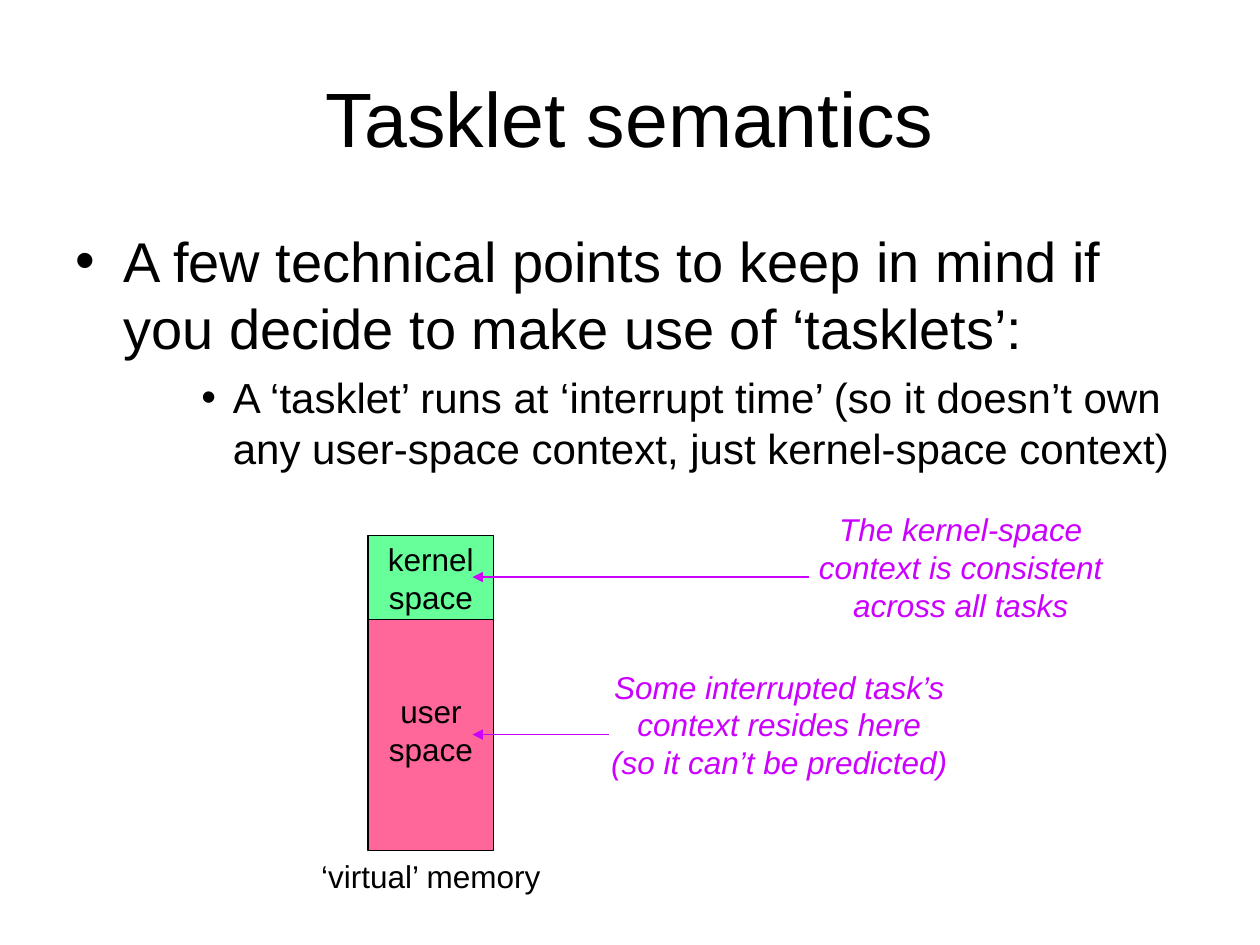
from lxml.etree import SubElement
from pptx import Presentation
from pptx.dml.color import RGBColor
from pptx.enum.shapes import MSO_CONNECTOR, MSO_SHAPE
from pptx.enum.text import MSO_ANCHOR, PP_ALIGN
from pptx.oxml.ns import qn
from pptx.util import Inches, Pt

COLORS = {"text": "000000", "note": "CC00FF", "kernel": "66FF99", "user": "FF6699"}
LABEL = {"size": Pt(18)}
NOTE = {"size": Pt(18), "italic": True}


def color(name):
    return RGBColor.from_string(COLORS[name])


def format_font(para, values, color_name="text"):
    for name, value in {"name": "Arial", **values}.items():
        setattr(para.font, name, value)
    para.font.color.rgb = color(color_name)


def write_lines(frame, lines, values, color_name="text"):
    """Fill a frame with centred, unwrapped lines."""
    frame.word_wrap = False
    frame.text = "\n".join(lines)
    for para in frame.paragraphs:
        para.alignment = PP_ALIGN.CENTER
        format_font(para, values, color_name)


def add_bullet(para, left, hanging):
    properties = para._p.get_or_add_pPr()
    properties.set("marL", str(Inches(left)))
    properties.set("indent", str(-Inches(hanging)))
    SubElement(properties, qn("a:buFont"), typeface="Arial")
    SubElement(properties, qn("a:buChar"), char="•")


def add_title(page, left, top, width, height):
    title = page.shapes.title
    title.left, title.top = Inches(left), Inches(top)
    title.width, title.height = Inches(width), Inches(height)
    title.text_frame.vertical_anchor = MSO_ANCHOR.MIDDLE
    write_lines(title.text_frame, ["Tasklet semantics"], {"size": Pt(44)})
    title.text_frame.word_wrap = True


def add_points(page, left, top, width, height):
    box = page.shapes.add_textbox(Inches(left), Inches(top), Inches(width), Inches(height))
    frame = box.text_frame
    frame.word_wrap = True
    points = [
        ("A few technical points to keep in mind if you decide to make use of ‘tasklets’:",
         0, 0.38, 0.38, 32, 0),
        ("A ‘tasklet’ runs at ‘interrupt time’ (so it doesn’t own any user-space context, "
         "just kernel-space context)", 2, 1.25, 0.25, 24, 6),
    ]
    for index, (text, level, indent, hanging, size, before) in enumerate(points):
        para = frame.add_paragraph() if index else frame.paragraphs[0]
        para.text = text
        para.level = level
        para.space_before = Pt(before)
        add_bullet(para, indent, hanging)
        format_font(para, {"size": Pt(size)})


def add_label(page, left, top, width, height, lines, values, color_name="text"):
    box = page.shapes.add_textbox(Inches(left), Inches(top), Inches(width), Inches(height))
    write_lines(box.text_frame, lines, values, color_name)


def add_memory(page, left, top, width, height):
    """Stack kernel space on user space, with a caption underneath."""
    kernel_height = 0.67
    user_top = 0.58
    blocks = [("user", user_top, height - user_top), ("kernel", 0, kernel_height)]
    for name, offset, block_height in blocks:
        block = page.shapes.add_shape(MSO_SHAPE.RECTANGLE, Inches(left), Inches(top + offset),
                                      Inches(width), Inches(block_height))
        block.shadow.inherit = False
        block.fill.solid()
        block.fill.fore_color.rgb = color(name)
        block.line.color.rgb = color("text")
        block.line.width = Pt(0.75)
        block.text_frame.vertical_anchor = MSO_ANCHOR.MIDDLE
        write_lines(block.text_frame, [name, "space"], LABEL)
    caption_width = 2.23
    add_label(page, left + (width - caption_width) / 2, top + height, caption_width, 0.4,
              ["‘virtual’ memory"], LABEL)


def add_callout(page, left, top, width, height, lines, arrow_offset, target):
    """Place a note and an arrow from its left edge to the target x."""
    add_label(page, left, top, width, height, lines, NOTE, "note")
    arrow_y = Inches(top + 0.58)
    arrow = page.shapes.add_connector(MSO_CONNECTOR.STRAIGHT, Inches(left + arrow_offset),
                                      arrow_y, Inches(target), arrow_y)
    arrow.line.color.rgb = color("note")
    arrow.line.width = Pt(0.75)
    SubElement(arrow.line._get_or_add_ln(), qn("a:tailEnd"), type="triangle")
    SubElement(arrow._element.spPr, qn("a:effectLst"))


def main():
    deck = Presentation()
    deck.slide_width, deck.slide_height = Inches(10), Inches(7.5)
    page = deck.slides.add_slide(deck.slide_layouts[5])
    add_title(page, 0.5, 0.3, 9, 1.25)
    add_points(page, 0.5, 1.75, 9, 2.2)
    add_memory(page, 2.92, 4.25, 1, 2.5)
    add_callout(page, 4.75, 5.25, 2.87, 1,
                ["Some interrupted task’s", "context resides here", "(so it can’t be predicted)"],
                0.08, 3.75)
    add_callout(page, 6.33, 4, 2.59, 1,
                ["The kernel-space", "context is consistent", "across all tasks"],
                0.09, 3.75)
    deck.save("out.pptx")


if __name__ == "__main__":
    main()
